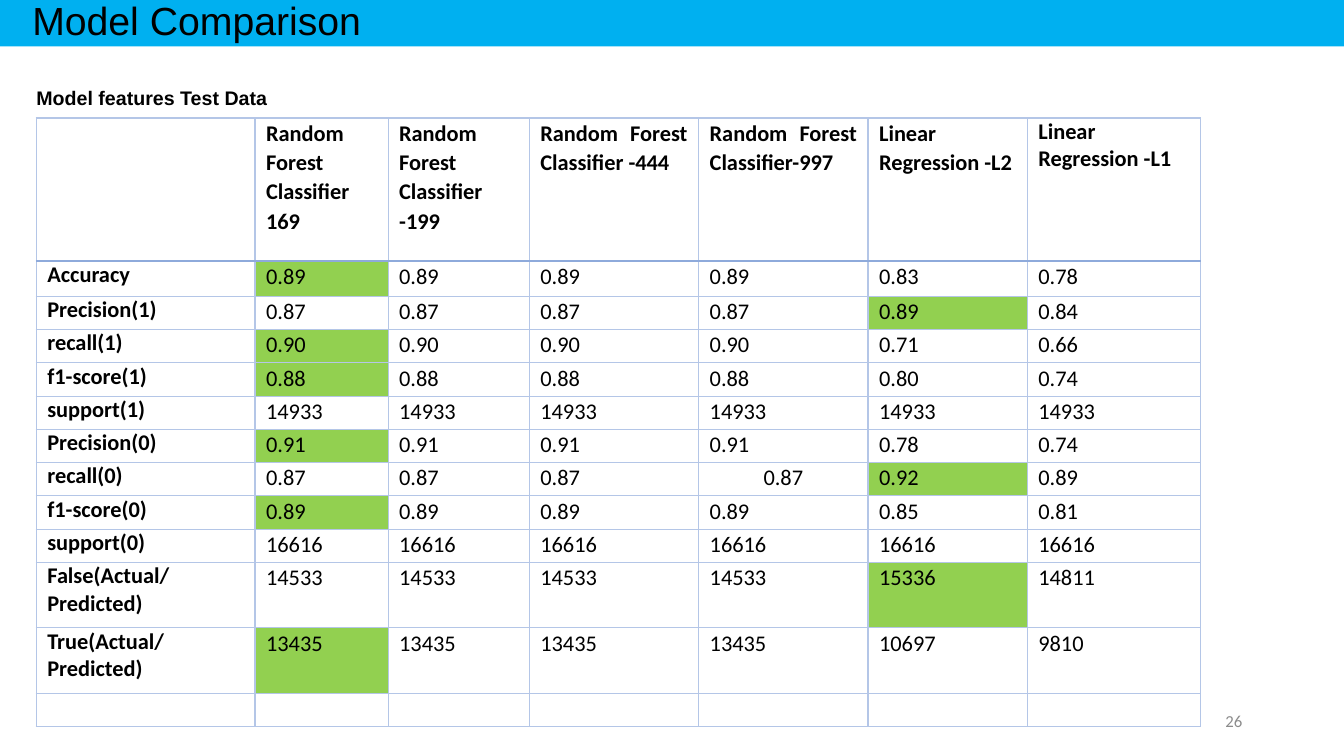
from dataclasses import dataclass

from lxml import etree
from pptx import Presentation
from pptx.dml.color import RGBColor
from pptx.enum.shapes import MSO_SHAPE
from pptx.enum.text import MSO_ANCHOR, PP_ALIGN
from pptx.oxml.ns import qn
from pptx.util import Inches, Pt

LEFT, CENTER, RIGHT, JUSTIFY = PP_ALIGN.LEFT, PP_ALIGN.CENTER, PP_ALIGN.RIGHT, PP_ALIGN.JUSTIFY
MIDDLE = MSO_ANCHOR.MIDDLE
TITLE_ONLY = 5

TITLE = "Model Comparison"
SUBTITLE = "Model features Test Data"
PAGE_NUMBER = "26"
MODELS = [
    "", "Random Forest Classifier 169", "Random Forest Classifier -199",
    "Random Forest Classifier -444", "Random Forest Classifier-997",
    "Linear Regression -L2", "Linear Regression -L1",
]
# Metric, the value shared by all forests, L2 value, L1 value, best column
METRICS = [
    ("Accuracy", "0.89", "0.83", "0.78", 1),
    ("Precision(1)", "0.87", "0.89", "0.84", 5),
    ("recall(1)", "0.90", "0.71", "0.66", 1),
    ("f1-score(1)", "0.88", "0.80", "0.74", 1),
    ("support(1)", "14933", "14933", "14933", None),
    ("Precision(0)", "0.91", "0.78", "0.74", 1),
    ("recall(0)", "0.87", "0.92", "0.89", 5),
    ("f1-score(0)", "0.89", "0.85", "0.81", 1),
    ("support(0)", "16616", "16616", "16616", None),
    ("False(Actual/Predicted)", "14533", "15336", "14811", 5),
    ("True(Actual/Predicted)", "13435", "10697", "9810", 1),
]
FOREST_COUNT = 4
CENTERED_CELL = (7, 4)

SLIDE_WIDTH, SLIDE_HEIGHT = 13.33, 7.5
MARGIN = 0.36
TABLE_TOP = 1.17
COLUMN_WIDTHS = [2.17, 1.32, 1.4, 1.68, 1.68, 1.58, 1.72]
ROW_HEIGHTS = [1.42, 0.35] + [0.33] * 8 + [0.65] * 2 + [0.33]


@dataclass(frozen=True)
class Theme:
    band: str = "00B0F0"
    best: str = "92D050"
    paper: str = "FFFFFF"
    ink: str = "000000"
    muted: str = "8C8C8C"
    grid: str = "B4C6E7"
    header_rule: str = "8EAADB"
    heading_font: str = "Arial"
    body_font: str = "Calibri"
    title_size: int = 28
    subtitle_size: int = 14
    cell_size: int = 16
    page_size: int = 12
    cell_spacing: float = 1.07


THEME = Theme()


def paint(item, color):
    item.fill.solid()
    item.fill.fore_color.rgb = RGBColor.from_string(color)


def write(frame, text, size, font=THEME.body_font, color=THEME.ink, bold=False,
          **paragraph_format):
    paragraph = frame.paragraphs[0]
    for name, value in paragraph_format.items():
        setattr(paragraph, name, value)
    run = paragraph.add_run()
    run.text = text
    for name, value in {"name": font, "size": Pt(size), "bold": bold}.items():
        setattr(run.font, name, value)
    run.font.color.rgb = RGBColor.from_string(color)


def set_frame(frame, **values):
    for name, value in values.items():
        setattr(frame, name, value)


def set_borders(cell, row):
    """Draw the four cell edges, with a heavier rule below the header row."""
    properties = cell._tc.get_or_add_tcPr()
    header_edge = {0: "lnB", 1: "lnT"}.get(row)
    for position, edge in enumerate(("lnL", "lnR", "lnT", "lnB")):
        heavy = edge == header_edge
        line = etree.Element(qn(f"a:{edge}"), w=str(Pt(1.5 if heavy else 1)))
        fill = etree.SubElement(line, qn("a:solidFill"))
        etree.SubElement(fill, qn("a:srgbClr"),
                         val=THEME.header_rule if heavy else THEME.grid)
        properties.insert(position, line)


def cell_format(row, column):
    """Return bold, alignment and line spacing for a table position."""
    last_column = len(MODELS) - 1
    if row == 0 and column < last_column:
        return {"bold": True, "alignment": JUSTIFY, "line_spacing": THEME.cell_spacing}
    if row == 0 or column == 0:
        return {"bold": True, "alignment": LEFT, "line_spacing": 1.0}
    alignment = CENTER if (row, column) == CENTERED_CELL else LEFT
    return {"alignment": alignment, "line_spacing": THEME.cell_spacing}


def add_title(slide):
    title = slide.shapes.title
    title.left = title.top = 0
    title.width, title.height = Inches(SLIDE_WIDTH), Inches(0.46)
    paint(title, THEME.band)
    set_frame(title.text_frame, margin_left=Inches(0.32), margin_top=0,
              margin_bottom=0, vertical_anchor=MIDDLE, word_wrap=True)
    write(title.text_frame, TITLE, THEME.title_size, THEME.heading_font,
          alignment=LEFT, line_spacing=0.9)


def add_subtitle(slide):
    label = slide.shapes.add_shape(MSO_SHAPE.RECTANGLE, Inches(MARGIN), Inches(0.85),
                                   Inches(4.98), Inches(0.24))
    label.shadow.inherit = False
    label.line.fill.background()
    paint(label, THEME.paper)
    set_frame(label.text_frame, margin_left=0, margin_right=0, margin_top=0,
              margin_bottom=0, vertical_anchor=MIDDLE, word_wrap=True)
    write(label.text_frame, SUBTITLE, THEME.subtitle_size, THEME.heading_font,
          bold=True, alignment=LEFT)


def add_comparison_table(slide):
    rows = [MODELS]
    rows += [[name] + [forest] * FOREST_COUNT + [l2, l1]
             for name, forest, l2, l1, _ in METRICS]
    rows.append([""] * len(MODELS))
    best_cells = {(row, metric[-1]) for row, metric in enumerate(METRICS, 1)}

    table = slide.shapes.add_table(
        len(rows), len(MODELS), Inches(MARGIN), Inches(TABLE_TOP),
        Inches(sum(COLUMN_WIDTHS)), Inches(sum(ROW_HEIGHTS))).table
    table.first_row = table.horz_banding = False
    for column, width in zip(table.columns, COLUMN_WIDTHS):
        column.width = Inches(width)
    for row, height in zip(table.rows, ROW_HEIGHTS):
        row.height = Inches(height)

    for row, texts in enumerate(rows):
        for column, text in enumerate(texts):
            cell = table.cell(row, column)
            set_frame(cell, margin_left=Inches(0.11), margin_right=Inches(0.11),
                      margin_top=0, margin_bottom=0)
            if (row, column) in best_cells:
                paint(cell, THEME.best)
            else:
                cell.fill.background()
            set_borders(cell, row)
            if text:
                write(cell.text_frame, text, THEME.cell_size, **cell_format(row, column))


def add_page_number(slide):
    box = slide.shapes.add_textbox(Inches(9.42), Inches(6.95), Inches(3), Inches(0.4))
    set_frame(box.text_frame, word_wrap=True, vertical_anchor=MIDDLE)
    write(box.text_frame, PAGE_NUMBER, THEME.page_size, color=THEME.muted,
          alignment=RIGHT)


def main():
    presentation = Presentation()
    presentation.slide_width = Inches(SLIDE_WIDTH)
    presentation.slide_height = Inches(SLIDE_HEIGHT)
    slide = presentation.slides.add_slide(presentation.slide_layouts[TITLE_ONLY])
    for add_part in (add_title, add_comparison_table, add_subtitle, add_page_number):
        add_part(slide)
    presentation.save("out.pptx")


if __name__ == "__main__":
    main()
